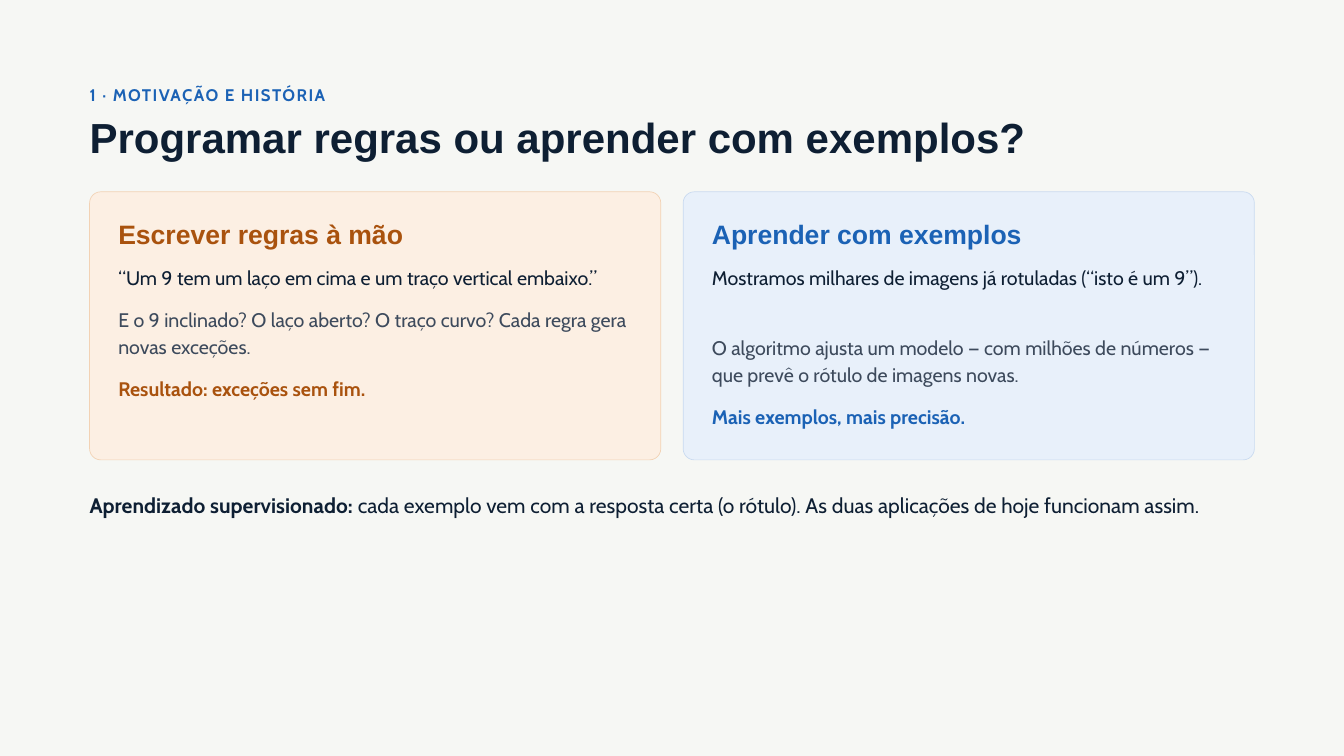
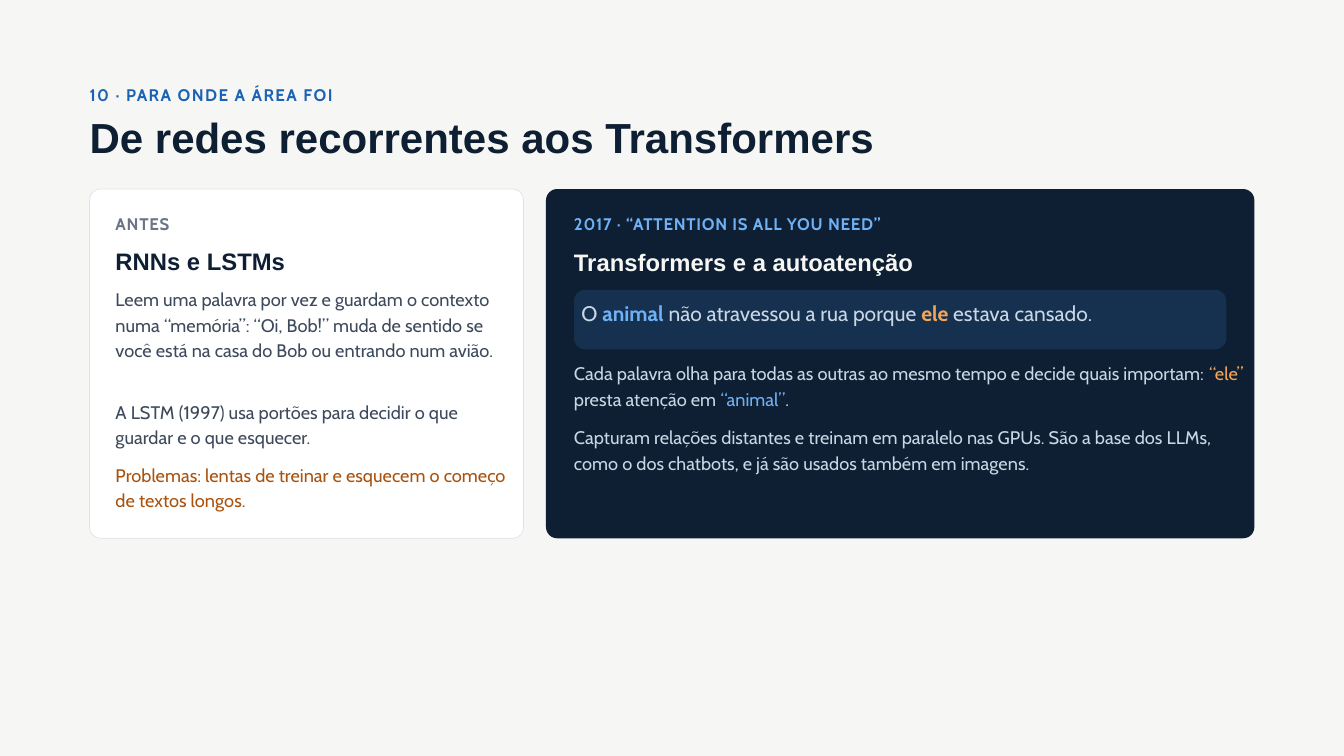
from pptx import Presentation
from pptx.dml.color import RGBColor
from pptx.enum.shapes import MSO_SHAPE
from pptx.enum.text import MSO_ANCHOR, PP_ALIGN
from pptx.util import Pt

PX = 9525  # EMU per px; the slide is 1920 x 1080 px
LEFT, WIDE = 128, 1714
RADIUS = 16

C = {
    "paper": "F6F7F4", "navy": "0E1F33", "slate": "3D4A5C", "gray": "6A7684",
    "blue": "1B62B5", "blue_bg": "E8F0FA", "blue_line": "C9DAF0",
    "rust": "A9520E", "rust_bg": "FCEFE3", "rust_line": "F2D2B4",
    "white": "FFFFFF", "white_line": "DDE3EA",
    "mist": "C9D6E5", "sky": "6FB1F5", "amber": "F2A65A", "quote_bg": "16304F",
}

# font, size, line spacing, bold, letter spacing (all in points)
STYLES = {
    "kicker": ("Cabin", 18, 25.2, True, 1.5),
    "title": ("Arial", 45, 49.5, True, 0),
    "heading": ("Arial", 28.5, 34.2, True, 0),
    "body": ("Cabin", 21, 29.4, False, 0),
    "strong": ("Cabin", 21, 29.4, True, 0),
    "closing": ("Cabin", 22.5, 31.5, False, 0),
    "label": ("Cabin", 18, 25.2, True, 0.8),
    "subheading": ("Arial", 25.5, 30.6, True, 0),
    "small": ("Cabin", 19.5, 27.3, False, 0),
    "quote": ("Cabin", 22.5, 33.8, False, 0),
}


def add_box(s, box, fill=None, line=None):
    """Add a rounded card, or a plain text box when there is no fill."""
    x, y, w, h = (v * PX for v in box)
    if fill is None:
        return s.shapes.add_textbox(x, y, w, h)
    sp = s.shapes.add_shape(MSO_SHAPE.ROUNDED_RECTANGLE, x, y, w, h)
    sp.adjustments[0] = RADIUS * PX / min(w, h)
    sp.shadow.inherit = False
    sp.fill.solid()
    sp.fill.fore_color.rgb = RGBColor.from_string(C[fill])
    if line:
        sp.line.color.rgb = RGBColor.from_string(C[line])
        sp.line.width = Pt(0.75)
    else:
        sp.line.fill.background()
    return sp


def write(sp, style, *runs, inset=(0, 0)):
    """Fill a shape with one paragraph; a run is (text, colour[, bold])."""
    font, size, leading, bold, spacing = STYLES[style]
    tf = sp.text_frame
    tf.word_wrap = True
    tf.vertical_anchor = MSO_ANCHOR.TOP
    tf.margin_left = tf.margin_right = inset[0] * PX
    tf.margin_top = tf.margin_bottom = inset[1] * PX
    p = tf.paragraphs[0]
    p.alignment = PP_ALIGN.LEFT
    p.line_spacing = Pt(leading)
    for text, color, *weight in runs:
        r = p.add_run()
        r.text = text
        r.font.name = font
        r.font.size = Pt(size)
        r.font.bold = weight[0] if weight else bold
        r.font.color.rgb = RGBColor.from_string(C[color])
        if spacing:
            r._r.get_or_add_rPr().set("spc", str(int(spacing * 100)))


prs = Presentation()
prs.slide_width, prs.slide_height = 1920 * PX, 1080 * PX
bg = prs.slide_master.background.fill
bg.solid()
bg.fore_color.rgb = RGBColor.from_string(C["paper"])

slides = []
for kicker, title in [
    ("1 · MOTIVAÇÃO E HISTÓRIA", "Programar regras ou aprender com exemplos?"),
    ("10 · PARA ONDE A ÁREA FOI", "De redes recorrentes aos Transformers"),
]:
    s = prs.slides.add_slide(prs.slide_layouts[6])
    write(add_box(s, (LEFT, 116, WIDE, 41)), "kicker", (kicker, "blue"))
    write(add_box(s, (LEFT, 166, WIDE, 68)), "title", (title, "navy"))
    slides.append(s)
compare, transformers = slides

# Slide 1: two equal cards, texts stacked by their number of lines
card_w, gap = 816, 32
heights = {1: 48, 2: 88}
cards = [
    ("rust", "Escrever regras à mão", [
        (1, "body", "“Um 9 tem um laço em cima e um traço vertical embaixo.”", "navy"),
        (2, "body", "E o 9 inclinado? O laço aberto? O traço curvo? Cada regra gera "
                    "novas exceções.", "slate"),
        (1, "strong", "Resultado: exceções sem fim.", "rust"),
    ]),
    ("blue", "Aprender com exemplos", [
        (2, "body", "Mostramos milhares de imagens já rotuladas (“isto é um 9”).", "navy"),
        (2, "body", "O algoritmo ajusta um modelo — com milhões de números — que prevê "
                    "o rótulo de imagens novas.", "slate"),
        (1, "strong", "Mais exemplos, mais precisão.", "blue"),
    ]),
]
for i, (hue, heading, texts) in enumerate(cards):
    x = LEFT + i * (card_w + gap)
    add_box(compare, (x, 274, card_w, 383), hue + "_bg", hue + "_line")
    write(add_box(compare, (x + 41, 312, 760, 52)), "heading", (heading, hue))
    y = 375
    for lines, style, text, color in texts:
        write(add_box(compare, (x + 41, y, 760, heights[lines])), style, (text, color))
        y += heights[lines] + 11

write(add_box(compare, (LEFT, 697, WIDE, 92)), "closing",
      ("Aprendizado supervisionado:", "navy", True),
      (" cada exemplo vem com a resposta certa (o rótulo). "
       "As duas aplicações de hoje funcionam assim.", "navy"))

# Slide 2: before and after
add_box(transformers, (LEFT, 270, 620, 499), "white", "white_line")
add_box(transformers, (780, 270, 1012, 499), "navy")

before = [
    (301, 41, "label", "ANTES", "gray"),
    (353, 46, "subheading", "RNNs e LSTMs", "navy"),
    (407, 154, "small", "Leem uma palavra por vez e guardam o contexto numa “memória”: "
                        "“Oi, Bob!” muda de sentido se você está na casa do Bob ou "
                        "entrando num avião.", "slate"),
    (568, 81, "small", "A LSTM (1997) usa portões para decidir o que guardar e o que "
                       "esquecer.", "slate"),
    (658, 81, "small", "Problemas: lentas de treinar e esquecem o começo de textos "
                       "longos.", "rust"),
]
after = [
    (300, 41, "label", "2017 · “ATTENTION IS ALL YOU NEED”", "sky"),
    (354, 46, "subheading", "Transformers e a autoatenção", "paper"),
    (604, 81, "small", "Capturam relações distantes e treinam em paralelo nas GPUs. São a "
                       "base dos LLMs, como o dos chatbots, e já são usados também em "
                       "imagens.", "mist"),
]
for x, w, texts in [(165, 563, before), (820, 960, after)]:
    for y, h, style, text, color in texts:
        write(add_box(transformers, (x, y, w, h)), style, (text, color))

write(add_box(transformers, (820, 414, 932, 85), "quote_bg"), "quote",
      ("O ", "mist"), ("animal", "sky", True),
      (" não atravessou a rua porque ", "mist"), ("ele", "amber", True),
      (" estava cansado.", "mist"), inset=(6, 2))
write(add_box(transformers, (820, 513, 960, 81)), "small",
      ("Cada palavra olha para todas as outras ao mesmo tempo e decide quais "
       "importam: ", "mist"),
      ("“ele”", "amber"), (" presta atenção em ", "mist"),
      ("“animal”", "sky"), (".", "mist"))

prs.save("out.pptx")
